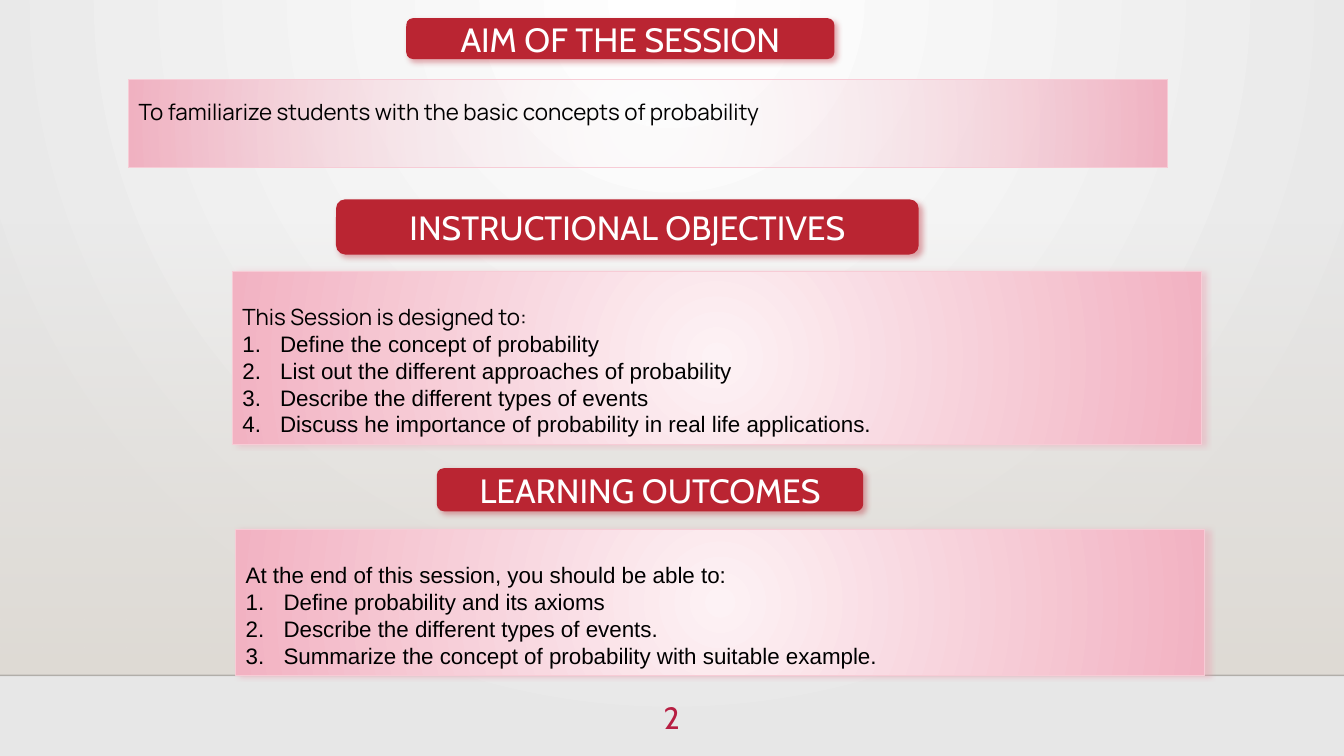
from lxml import etree
from pptx import Presentation
from pptx.dml.color import RGBColor
from pptx.enum.shapes import MSO_CONNECTOR, MSO_SHAPE
from pptx.enum.text import MSO_ANCHOR, MSO_AUTO_SIZE, PP_ALIGN
from pptx.oxml.ns import qn
from pptx.util import Pt

RECT, ROUND = MSO_SHAPE.RECTANGLE, MSO_SHAPE.ROUNDED_RECTANGLE
STRAIGHT = MSO_CONNECTOR.STRAIGHT
TOP, MIDDLE = MSO_ANCHOR.TOP, MSO_ANCHOR.MIDDLE
LEFT, CENTER = PP_ALIGN.LEFT, PP_ALIGN.CENTER
GROW = MSO_AUTO_SIZE.SHAPE_TO_FIT_TEXT

COLORS = {
    "white": "FFFFFF", "gray": "E7E7E7", "sand": "DFDBD5", "rule": "000001",
    "red": "BA2532", "page": "B71E42", "black": "000000",
    "pale": "FDF2F5", "pink": "F2B2C2", "edge": "F7CCD6", "glow": "EE99AD",
}
WIDE, HIGH, FLOOR = 960, 540, 482.4

HEADS = [
    ("INSTRUCTIONAL OBJECTIVES", (240, 142.4, 416.2, 39.4)),
    ("AIM OF THE SESSION", (290.2, 13, 305.8, 29.2)),
    ("LEARNING OUTCOMES", (312, 334.4, 304.6, 30.8)),
]
# lead line, its font, its line spacing, numbered items, place, has shadow
PANELS = [
    ("To familiarize students with the basic concepts of probability",
     "Manrope", 1.5, [], (92, 57, 741.8, 62.4), False),
    ("This Session is designed to:", "Manrope", 2,
     ["Define the concept of probability",
      "List out the different approaches of probability",
      "Describe the different types of events",
      "Discuss he importance of probability in real life applications."],
     (166, 193.8, 692.2, 123.6), True),
    ("At the end of this session, you should be able to:", "Arial", 2,
     ["Define probability and its axioms",
      "Describe the different types of events.",
      "Summarize the concept of probability with suitable example."],
     (168.4, 378.2, 692.2, 104.4), True),
]


def rgb(name):
    return RGBColor.from_string(COLORS[name])


def sub(parent, tag, **attrs):
    node = etree.SubElement(parent, qn(tag))
    for key, value in attrs.items():
        node.set(key, str(value))
    return node


def blend(props, stops, angle=None, focus=None):
    """Swap a solid fill for a gradient; stops are (colour, opacity %)."""
    grad = etree.Element(qn("a:gradFill"), rotWithShape="1")
    items = sub(grad, "a:gsLst")
    for pos, (name, alpha) in zip((0, 100000), stops):
        color = sub(sub(items, "a:gs", pos=pos), "a:srgbClr",
                    val=COLORS[name])
        if alpha < 100:
            sub(color, "a:alpha", val=alpha * 1000)
    if focus:
        route = sub(grad, "a:path", path="circle")
        sub(route, "a:fillToRect",
            **{side: pct * 1000 for side, pct in zip("ltrb", focus)})
    else:
        sub(grad, "a:lin", ang=angle * 60000, scaled=0)
    solid = props.find(qn("a:solidFill"))
    props.replace(solid, grad)


def shade(shape, name, angle):
    effects = shape._element.spPr.find(qn("a:effectLst"))
    drop = sub(effects, "a:outerShdw", blurRad=Pt(4), dist=Pt(3),
               dir=angle * 60000, algn="ctr", rotWithShape=0)
    sub(sub(drop, "a:srgbClr", val=COLORS[name]), "a:alpha", val=40000)


def block(slide, kind, place, fill):
    shape = slide.shapes.add_shape(kind, *map(Pt, place))
    shape.shadow.inherit = False
    shape.fill.solid()
    shape.fill.fore_color.rgb = rgb(fill)
    shape.line.fill.background()
    return shape


def write(para, text, font, size, color, align):
    para.alignment = align
    run = para.add_run()
    run.text = text
    run.font.name = font
    run.font.size = Pt(size)
    run.font.color.rgb = rgb(color)


def number(para):
    props = para._p.get_or_add_pPr()
    props.set("marL", str(Pt(27)))
    props.set("indent", str(Pt(-27)))
    sub(props, "a:buFont", typeface="+mj-lt")
    sub(props, "a:buAutoNum", type="arabicPeriod")


def backdrop(slide):
    slide.background.fill.solid()
    props = slide._element.find(".//" + qn("p:bgPr"))
    blend(props, [("white", 100), ("gray", 100)], focus=(43, 0, 43, 100))
    wall = block(slide, RECT, (0, 159, WIDE, FLOOR - 159), "sand")
    blend(wall._element.spPr, [("sand", 0), ("sand", 100)], angle=90)
    rule = slide.shapes.add_connector(
        STRAIGHT, Pt(0), Pt(FLOOR), Pt(WIDE), Pt(FLOOR))
    rule.line.width = Pt(1)
    rule.line.color.rgb = rgb("rule")
    props = rule._element.spPr
    sub(props.find(".//" + qn("a:srgbClr")), "a:alpha", val=20000)
    sub(props, "a:effectLst")


def folio(slide, text):
    box = slide.shapes.add_textbox(Pt(447.8), Pt(495.4), Pt(64), Pt(39.6))
    frame = box.text_frame
    frame.word_wrap = True
    write(frame.paragraphs[0], text, "Cabin", 22, "page", CENTER)


def header(slide, text, place):
    bar = block(slide, ROUND, place, "red")
    shade(bar, "red", 45)
    frame = bar.text_frame
    frame.word_wrap = True
    frame.vertical_anchor = MIDDLE
    write(frame.paragraphs[0], text, "Cabin", 24, "white", CENTER)


def panel(slide, lead, font, space, items, place, raised):
    box = block(slide, RECT, place, "pale")
    blend(box._element.spPr, [("pale", 100 if raised else 0), ("pink", 100)],
          focus=(50, 50, 50, 50))
    box.line.color.rgb = rgb("edge")
    box.line.width = Pt(0.75)
    if raised:
        shade(box, "glow", 0)
    frame = box.text_frame
    frame.word_wrap = True
    frame.auto_size = GROW
    frame.vertical_anchor = TOP
    first = frame.paragraphs[0]
    first.line_spacing = float(space)
    write(first, lead, font, 16, "black", LEFT)
    for item in items:
        para = frame.add_paragraph()
        number(para)
        write(para, item, "Arial", 16, "black", LEFT)


def main():
    deck = Presentation()
    deck.slide_width, deck.slide_height = Pt(WIDE), Pt(HIGH)
    slide = deck.slides.add_slide(deck.slide_layouts[6])
    backdrop(slide)
    folio(slide, "2")
    for head in HEADS:
        header(slide, *head)
    for part in PANELS:
        panel(slide, *part)
    deck.save("out.pptx")


if __name__ == "__main__":
    main()
